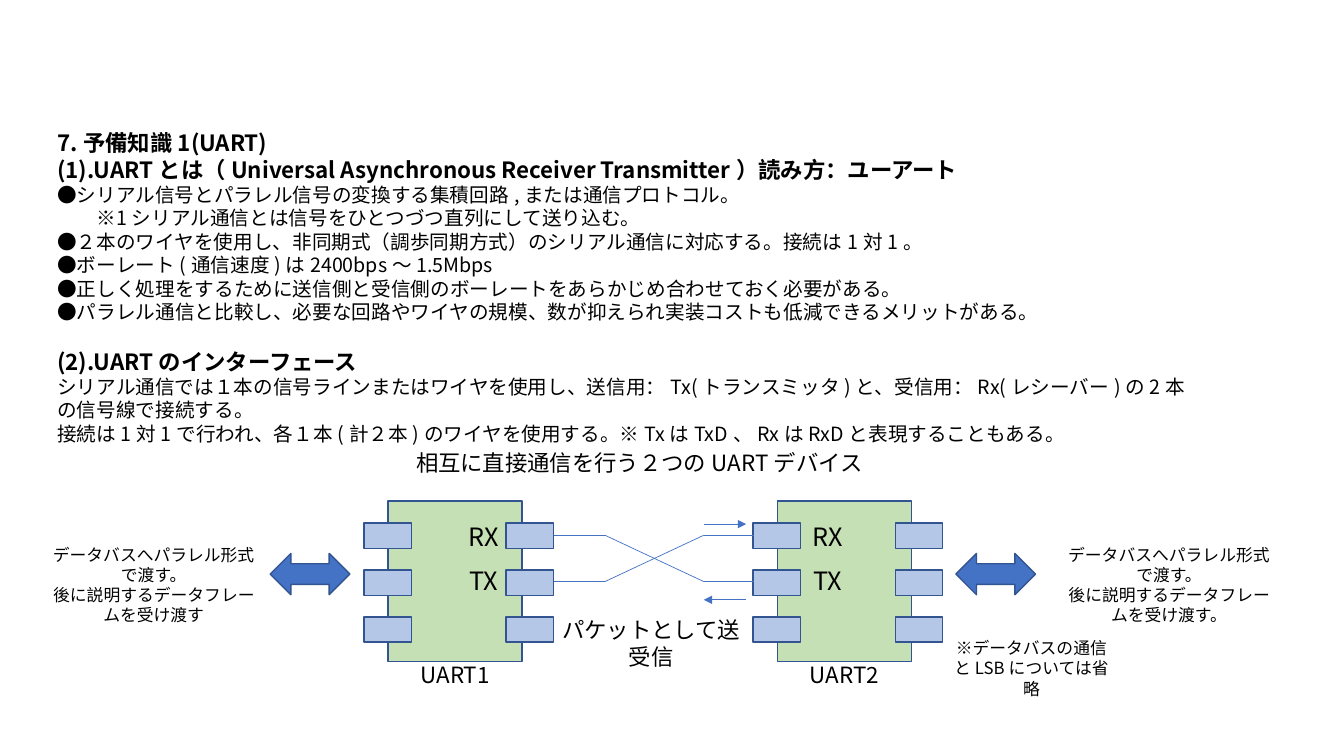
from dataclasses import dataclass
from lxml import etree
from pptx import Presentation
from pptx.dml.color import RGBColor
from pptx.enum import shapes, text
from pptx.oxml import ns
from pptx.util import Inches, Pt


@dataclass
class Theme:
    font: str = "Noto Sans CJK JP"
    ink: RGBColor = RGBColor(0, 0, 0)
    chip: RGBColor = RGBColor(0xC5, 0xE0, 0xB4)
    pin: RGBColor = RGBColor(0xB4, 0xC7, 0xE7)
    blue: RGBColor = RGBColor(0x44, 0x72, 0xC4)
    edge: RGBColor = RGBColor(0x32, 0x54, 0x91)
    head: int = 16
    body: int = 14
    port: int = 18
    note: int = 12


theme = Theme()
kind = shapes.MSO_SHAPE
prs = Presentation()
prs.slide_width, prs.slide_height = Inches(13.33), Inches(7.5)
slide = prs.slides.add_slide(prs.slide_layouts[6])


def write(x, y, w, h, lines, align=text.PP_ALIGN.CENTER):
    """Add a text box; each line is (wording, size, bold)."""
    box = slide.shapes.add_textbox(Inches(x), Inches(y), Inches(w), Inches(h))
    frame = box.text_frame
    frame.word_wrap = True
    frame.auto_size = text.MSO_AUTO_SIZE.SHAPE_TO_FIT_TEXT
    for i, (words, size, bold) in enumerate(lines):
        para = frame.add_paragraph() if i else frame.paragraphs[0]
        para.alignment = align
        run = para.add_run()
        run.text = words
        run.font.size, run.font.bold = Pt(size), bold
        run.font.name, run.font.color.rgb = theme.font, theme.ink
        east = etree.SubElement(run._r.get_or_add_rPr(), ns.qn("a:ea"))
        east.set("typeface", theme.font)
    return frame


def draw(form, x, y, w, h, fill):
    """Add an outlined shape."""
    shape = slide.shapes.add_shape(form, Inches(x), Inches(y), Inches(w), Inches(h))
    shape.shadow.inherit = False
    shape.fill.solid()
    shape.fill.fore_color.rgb = fill
    shape.line.color.rgb, shape.line.width = theme.edge, Pt(1)


# Explanation
prose = [
    ("7.予備知識1(UART)", theme.head, True),
    ("(1).UARTとは（Universal Asynchronous Receiver Transmitter）読み方：ユーアート",
     theme.head, True),
    ("●シリアル信号とパラレル信号の変換する集積回路,または通信プロトコル。", theme.body, False),
    ("※1シリアル通信とは信号をひとつづつ直列にして送り込む。", theme.body, False),
    ("●２本のワイヤを使用し、非同期式（調歩同期方式）のシリアル通信に対応する。接続は1対1。",
     theme.body, False),
    ("●ボーレート(通信速度)は2400bps～1.5Mbps", theme.body, False),
    ("●正しく処理をするために送信側と受信側のボーレートをあらかじめ合わせておく必要がある。",
     theme.body, False),
    ("●パラレル通信と比較し、必要な回路やワイヤの規模、数が抑えられ実装コストも低減できるメリットがある。",
     theme.body, False),
    ("(2).UARTのインターフェース", theme.head, True),
    ("シリアル通信では１本の信号ラインまたはワイヤを使用し、送信用：Tx(トランスミッタ)と、"
     "受信用：Rx(レシーバー)の2本の信号線で接続する。", theme.body, False),
    ("接続は1対1で行われ、各１本(計２本)のワイヤを使用する。※TxはTxD、RxはRxDと表現することもある。",
     theme.body, False),
]
frame = write(0.47, 1.23, 11.49, 3.03, prose, text.PP_ALIGN.LEFT)
frame.paragraphs[3]._p.get_or_add_pPr().set("marL", str(Pt(28)))
frame.paragraphs[8].space_before = Pt(17)

# Chips with pins and port names
for name, left, port in (("UART1", 3.85, 4.45), ("UART2", 7.71, 7.86)):
    draw(kind.RECTANGLE, left, 4.97, 1.33, 1.59, theme.chip)
    for side in (left + 1.17, left - 0.24):
        for row in range(3):
            draw(kind.RECTANGLE, side, 5.19 + 0.465 * row, 0.47, 0.25, theme.pin)
    write(left, 6.51, 1.33, 0.37, [(name, theme.head, False)])
    for label, top in (("RX", 5.12), ("TX", 5.56)):
        write(port, top, 0.7, 0.4, [(label, theme.port, False)])

# Crossed wires, then the two direction arrows
wires = []
for y, far in ((5.31, 5.77), (5.77, 5.31)):
    wires += [(5.49, y, 6, y, False), (6, y, 6.98, far, False), (6.98, y, 7.48, y, False)]
wires += [(6.98, 5.2, 7.4, 5.2, True), (7.4, 5.95, 6.98, 5.95, True)]
for x1, y1, x2, y2, arrow in wires:
    wire = slide.shapes.add_connector(
        shapes.MSO_CONNECTOR.STRAIGHT, Inches(x1), Inches(y1), Inches(x2), Inches(y2))
    wire.line.color.rgb, wire.line.width = theme.blue, Pt(0.5)
    if arrow:
        tail = etree.SubElement(wire.line._get_or_add_ln(), ns.qn("a:tailEnd"))
        tail.set("type", "triangle")
    etree.SubElement(wire._element.spPr, ns.qn("a:effectLst"))

# Data bus on each side
for arrow, left, end in ((2.68, 0.36, ""), (9.48, 10.43, "。")):
    draw(kind.LEFT_RIGHT_ARROW, arrow, 5.49, 0.79, 0.41, theme.blue)
    write(left, 5.35, 2.33, 0.71, [
        ("データバスへパラレル形式で渡す。", theme.note, False),
        ("後に説明するデータフレームを受け渡す" + end, theme.note, False)])

# Captions
write(4, 4.41, 4.68, 0.37, [("相互に直接通信を行う２つのUARTデバイス", theme.head, False)])
write(5.46, 6.06, 2, 0.37, [("パケットとして送受信", theme.head, False)])
write(9.36, 6.28, 1.74, 0.5, [("※データバスの通信とLSBについては省略", theme.note, False)])

prs.save("out.pptx")
